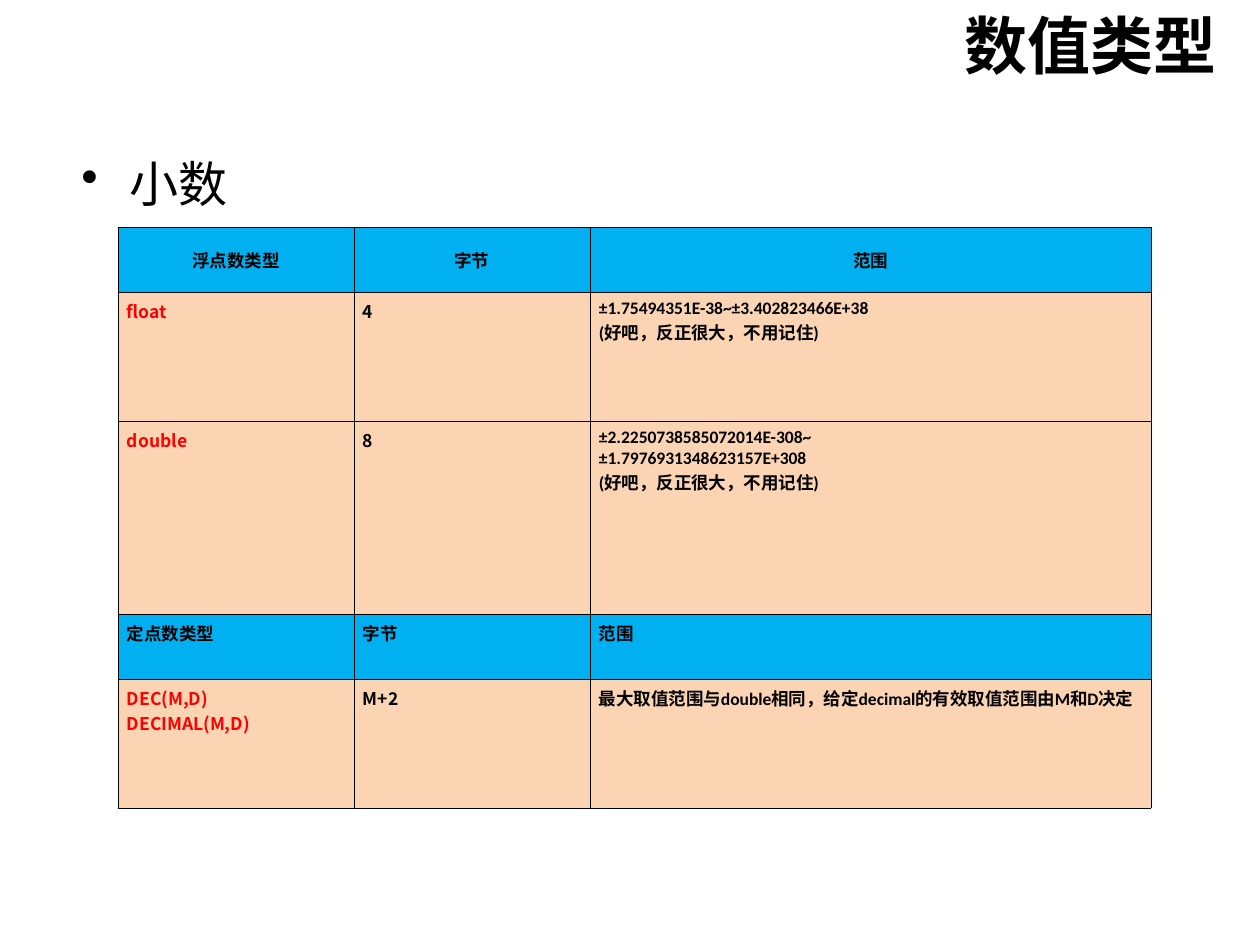
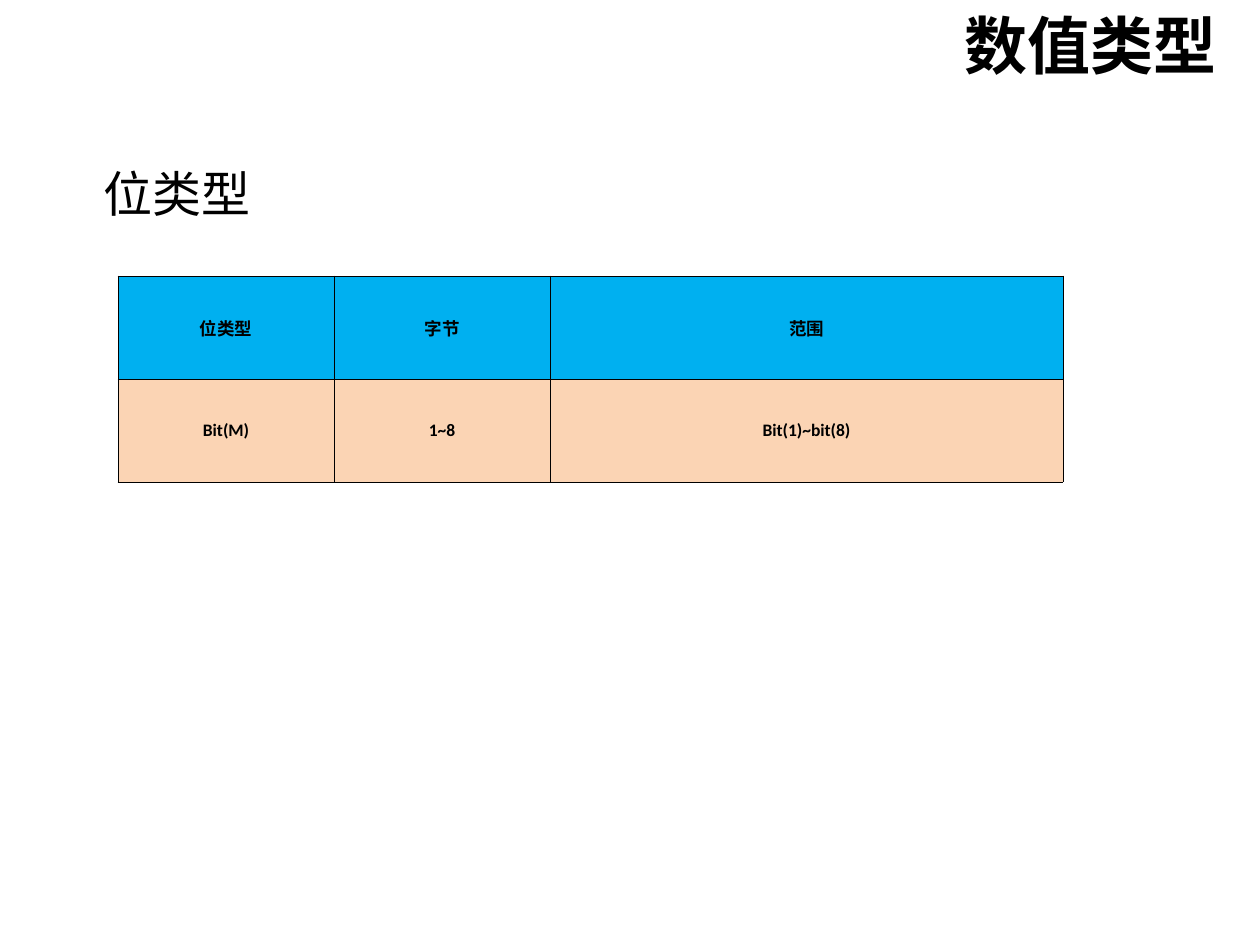
from dataclasses import dataclass

from pptx import Presentation
from pptx.dml.color import RGBColor
from pptx.enum.text import MSO_ANCHOR, PP_ALIGN
from pptx.oxml.ns import qn
from pptx.oxml.xmlchemy import OxmlElement
from pptx.util import Emu, Pt

EMU_PER_PX = 914400 / 126


@dataclass(frozen=True)
class Theme:
    ink: str = "000000"
    keyword: str = "FF0000"
    header_fill: str = "00B0F0"
    body_fill: str = "FBD4B4"
    latin: str = "Calibri"
    chinese: str = "Noto Sans CJK SC"
    title_size: int = 36
    heading_size: int = 28
    cell_size: int = 10
    border_points: float = 0.45


THEME = Theme()


@dataclass(frozen=True)
class CellStyle:
    fill: str
    centred: bool = False
    font: str = THEME.latin
    color: str = THEME.ink


HEADER = CellStyle(THEME.header_fill, centred=True)
SUBHEADER = CellStyle(THEME.header_fill)
TYPE_NAME = CellStyle(THEME.body_fill, font=THEME.chinese, color=THEME.keyword)
BYTE_COUNT = CellStyle(THEME.body_fill, font=THEME.chinese)
RANGE = CellStyle(THEME.body_fill)
CENTRED = CellStyle(THEME.body_fill, centred=True)


@dataclass(frozen=True)
class Row:
    height: int
    texts: tuple[str, ...]
    styles: tuple[CellStyle, ...]


@dataclass(frozen=True)
class TypeSlide:
    heading: str
    heading_top: int
    bulleted: bool
    table_top: int
    columns: tuple[int, ...]
    rows: tuple[Row, ...]


TITLE = "数值类型"
TABLE_LEFT = 118
DETAILS = (TYPE_NAME, BYTE_COUNT, RANGE)
NOTE = "(好吧，反正很大，不用记住)"

SLIDES = (
    TypeSlide("小数", 147, True, 227, (236, 236, 561), (
        Row(65, ("浮点数类型", "字节", "范围"), (HEADER,) * 3),
        Row(129, ("float", "4", f"±1.75494351E-38~±3.402823466E+38\n{NOTE}"), DETAILS),
        Row(193, ("double", "8",
                  f"±2.2250738585072014E-308~\n±1.7976931348623157E+308\n{NOTE}"), DETAILS),
        Row(65, ("定点数类型", "字节", "范围"), (SUBHEADER,) * 3),
        Row(129, ("DEC(M,D)\nDECIMAL(M,D)", "M+2",
                  "最大取值范围与double相同，给定decimal的有效取值范围由M和D决定"), DETAILS),
    )),
    TypeSlide("位类型", 157, False, 276, (216, 216, 513), (
        Row(103, ("位类型", "字节", "范围"), (HEADER,) * 3),
        Row(103, ("Bit(M)", "1~8", "Bit(1)~bit(8)"), (CENTRED,) * 3),
    )),
)


def px(length: int) -> Emu:
    return Emu(round(length * EMU_PER_PX))


def format_span(span, size: int, font: str, color: str, bold: bool) -> None:
    span.font.size = Pt(size)
    span.font.bold = bold
    span.font.color.rgb = RGBColor.from_string(color)
    span.font.name = font
    east_asian = OxmlElement("a:ea")
    east_asian.set("typeface", THEME.chinese)
    span.font._element.find(qn("a:latin")).addnext(east_asian)


def add_line(slide, left: int, top: int, width: int, height: int,
             text: str, size: int, bold: bool = False):
    """Add a one-paragraph text box and return its paragraph."""
    box = slide.shapes.add_textbox(px(left), px(top), px(width), px(height))
    box.text_frame.word_wrap = True
    box.text_frame.text = text
    para = box.text_frame.paragraphs[0]
    format_span(para.runs[0], size, THEME.latin, THEME.ink, bold)
    return para


def set_indent(para, margin: int, first_line: int, bulleted: bool) -> None:
    properties = para._p.get_or_add_pPr()
    properties.set("marL", str(px(margin)))
    properties.set("indent", str(px(first_line)))
    if bulleted:
        bullet = OxmlElement("a:buChar")
        bullet.set("char", "•")
        properties.append(bullet)


def add_borders(cell) -> None:
    properties = cell._tc.get_or_add_tcPr()
    for position, side in enumerate(("a:lnL", "a:lnR", "a:lnT", "a:lnB")):
        line = OxmlElement(side)
        line.set("w", str(Pt(THEME.border_points)))
        fill = OxmlElement("a:solidFill")
        color = OxmlElement("a:srgbClr")
        color.set("val", THEME.ink)
        fill.append(color)
        line.append(fill)
        properties.insert(position, line)


def fill_cell(cell, text: str, style: CellStyle) -> None:
    cell.fill.solid()
    cell.fill.fore_color.rgb = RGBColor.from_string(style.fill)
    add_borders(cell)
    cell.margin_left = cell.margin_right = px(9)
    cell.margin_top = cell.margin_bottom = px(6)
    cell.vertical_anchor = MSO_ANCHOR.MIDDLE if style.centred else MSO_ANCHOR.TOP
    cell.text_frame.text = text
    for para in cell.text_frame.paragraphs:
        para.alignment = PP_ALIGN.CENTER if style.centred else PP_ALIGN.JUSTIFY
        for span in para.runs:
            format_span(span, THEME.cell_size, style.font, style.color, True)


def add_type_table(slide, content: TypeSlide) -> None:
    frame = slide.shapes.add_table(
        len(content.rows), len(content.columns), px(TABLE_LEFT), px(content.table_top),
        px(sum(content.columns)), px(sum(row.height for row in content.rows)))
    table = frame.table
    table.first_row = table.horz_banding = False
    for column, width in zip(table.columns, content.columns):
        column.width = px(width)
    for table_row, row in zip(table.rows, content.rows):
        table_row.height = px(row.height)
        for cell, text, style in zip(table_row.cells, row.texts, row.styles):
            fill_cell(cell, text, style)


def add_type_slide(deck, content: TypeSlide) -> None:
    slide = deck.slides.add_slide(deck.slide_layouts[6])
    # Title at the top right
    title = add_line(slide, 168, 0, 1061, 198, TITLE, THEME.title_size, bold=True)
    title.alignment = PP_ALIGN.RIGHT
    # Heading above the table
    heading = add_line(slide, 69, content.heading_top, 1134, 624,
                       content.heading, THEME.heading_size)
    if content.bulleted:
        set_indent(heading, 48, -48, bulleted=True)
    else:
        set_indent(heading, 22, 0, bulleted=False)
    # Table of types
    add_type_table(slide, content)


def main() -> None:
    deck = Presentation()
    deck.slide_width, deck.slide_height = px(1260), px(945)
    for content in SLIDES:
        add_type_slide(deck, content)
    deck.save("out.pptx")


if __name__ == "__main__":
    main()
